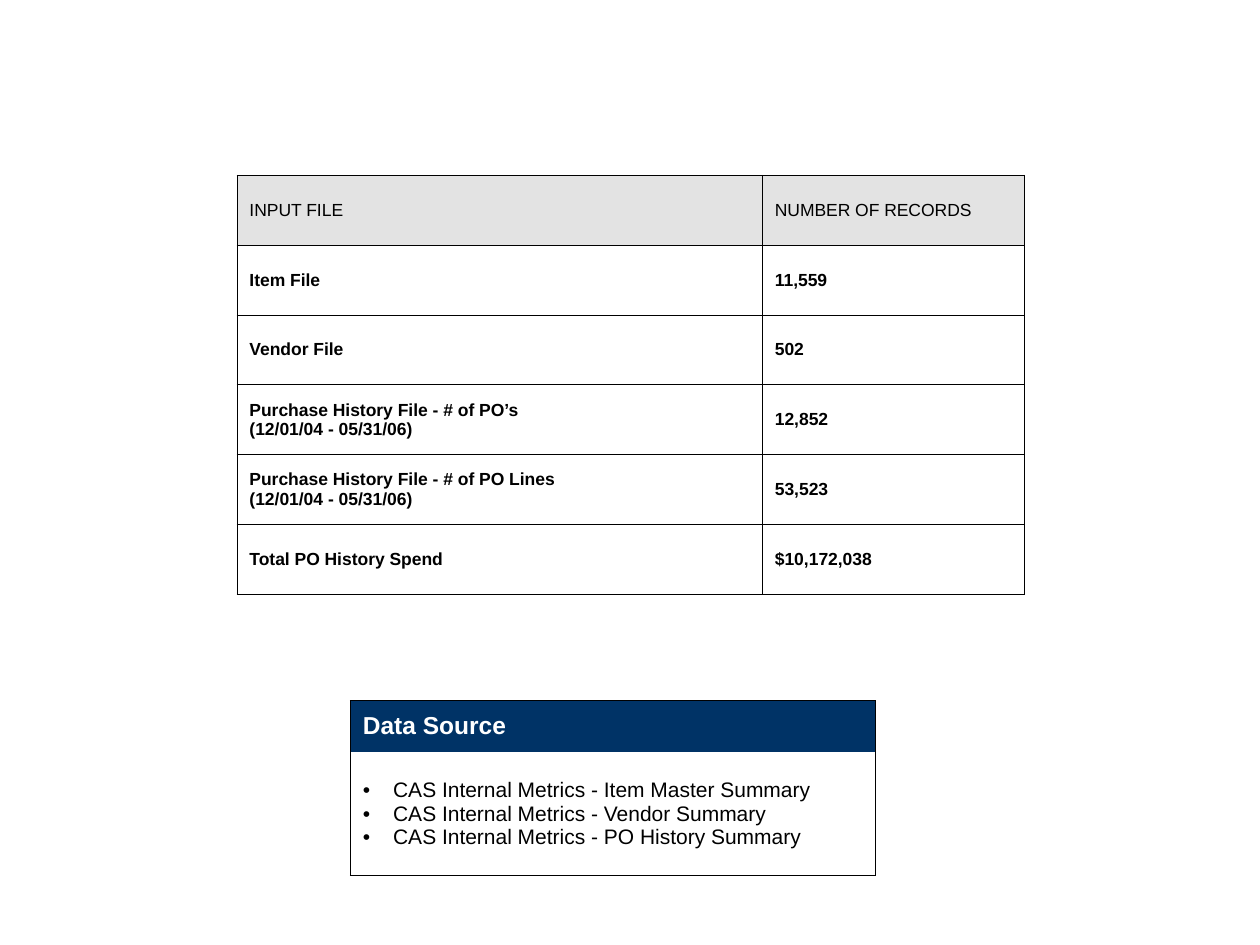
from lxml.etree import SubElement
from pptx import Presentation
from pptx.dml.color import RGBColor
from pptx.enum.text import MSO_ANCHOR
from pptx.oxml.ns import qn
from pptx.util import Inches, Pt

BLACK = RGBColor(0x00, 0x00, 0x00)
WHITE = RGBColor(0xFF, 0xFF, 0xFF)
GREY = RGBColor(0xE3, 0xE3, 0xE3)
NAVY = RGBColor(0x00, 0x33, 0x66)

FONT = "Arial"
BORDER = Pt(0.45)
BULLET_INDENT = Inches(0.24)

RECORDS = [
    ("INPUT FILE", "NUMBER OF RECORDS"),
    ("Item File", "11,559"),
    ("Vendor File", "502"),
    ("Purchase History File - # of PO’s\n(12/01/04 - 05/31/06)", "12,852"),
    ("Purchase History File - # of PO Lines\n(12/01/04 - 05/31/06)", "53,523"),
    ("Total PO History Spend", "$10,172,038"),
]
SOURCE_TITLE = "Data Source"
SOURCES = [
    "CAS Internal Metrics - Item Master Summary",
    "CAS Internal Metrics - Vendor Summary",
    "CAS Internal Metrics - PO History Summary",
]

# Column and row sizes in inches
RECORD_COLS = [4.17, 2.08]
RECORD_ROWS = [3.33 / len(RECORDS)] * len(RECORDS)
SOURCE_COLS = [4.17]
SOURCE_ROWS = [0.41, 0.98]


def add_grid(slide, left, top, cols, rows):
    """Add an empty table with the given column widths and row heights."""
    frame = slide.shapes.add_table(
        len(rows), len(cols), Inches(left), Inches(top),
        Inches(sum(cols)), Inches(sum(rows)))
    table = frame.table
    table.first_row = table.horz_banding = False
    for column, width in zip(table.columns, cols):
        column.width = Inches(width)
    for row, height in zip(table.rows, rows):
        row.height = Inches(height)
    return table


def set_borders(cell, sides):
    """Draw the sides named by the letters L, R, T and B; hide the others."""
    tc_pr = cell._tc.get_or_add_tcPr()
    for i, side in enumerate("LRTB"):
        ln = tc_pr.makeelement(qn(f"a:ln{side}"), {"w": str(int(BORDER))})
        tc_pr.insert(i, ln)
        if side in sides:
            fill = SubElement(ln, qn("a:solidFill"))
            SubElement(fill, qn("a:srgbClr"), val=str(BLACK))
        else:
            SubElement(ln, qn("a:noFill"))


def add_bullet(p):
    p_pr = p._p.get_or_add_pPr()
    p_pr.set("marL", str(int(BULLET_INDENT)))
    p_pr.set("indent", str(-int(BULLET_INDENT)))
    color = SubElement(p_pr, qn("a:buClr"))
    SubElement(color, qn("a:srgbClr"), val=str(BLACK))
    SubElement(p_pr, qn("a:buFont"), typeface=FONT)
    SubElement(p_pr, qn("a:buChar"), char="•")


def fill_cell(cell, text, size, bold=False, color=BLACK, fill=None,
              sides="LRTB", bullets=False):
    cell.vertical_anchor = MSO_ANCHOR.MIDDLE
    if fill is None:
        cell.fill.background()
    else:
        cell.fill.solid()
        cell.fill.fore_color.rgb = fill
    set_borders(cell, sides)
    cell.text_frame.text = text
    for p in cell.text_frame.paragraphs:
        if bullets:
            add_bullet(p)
        for r in p.runs:
            r.font.name = FONT
            r.font.size = Pt(size)
            r.font.bold = bold
            r.font.color.rgb = color


def main():
    prs = Presentation()
    prs.slide_width, prs.slide_height = Inches(10), Inches(7.5)
    slide = prs.slides.add_slide(prs.slide_layouts[6])

    records = add_grid(slide, 1.88, 1.39, RECORD_COLS, RECORD_ROWS)
    for i, row in enumerate(RECORDS):
        for j, text in enumerate(row):
            fill_cell(records.cell(i, j), text, 10, bold=i > 0,
                      fill=None if i else GREY)

    sources = add_grid(slide, 2.78, 5.56, SOURCE_COLS, SOURCE_ROWS)
    fill_cell(sources.cell(0, 0), SOURCE_TITLE, 14, bold=True, color=WHITE,
              fill=NAVY, sides="LRT")
    fill_cell(sources.cell(1, 0), "\n".join(SOURCES), 12, sides="LRB",
              bullets=True)

    prs.save("out.pptx")


if __name__ == "__main__":
    main()
